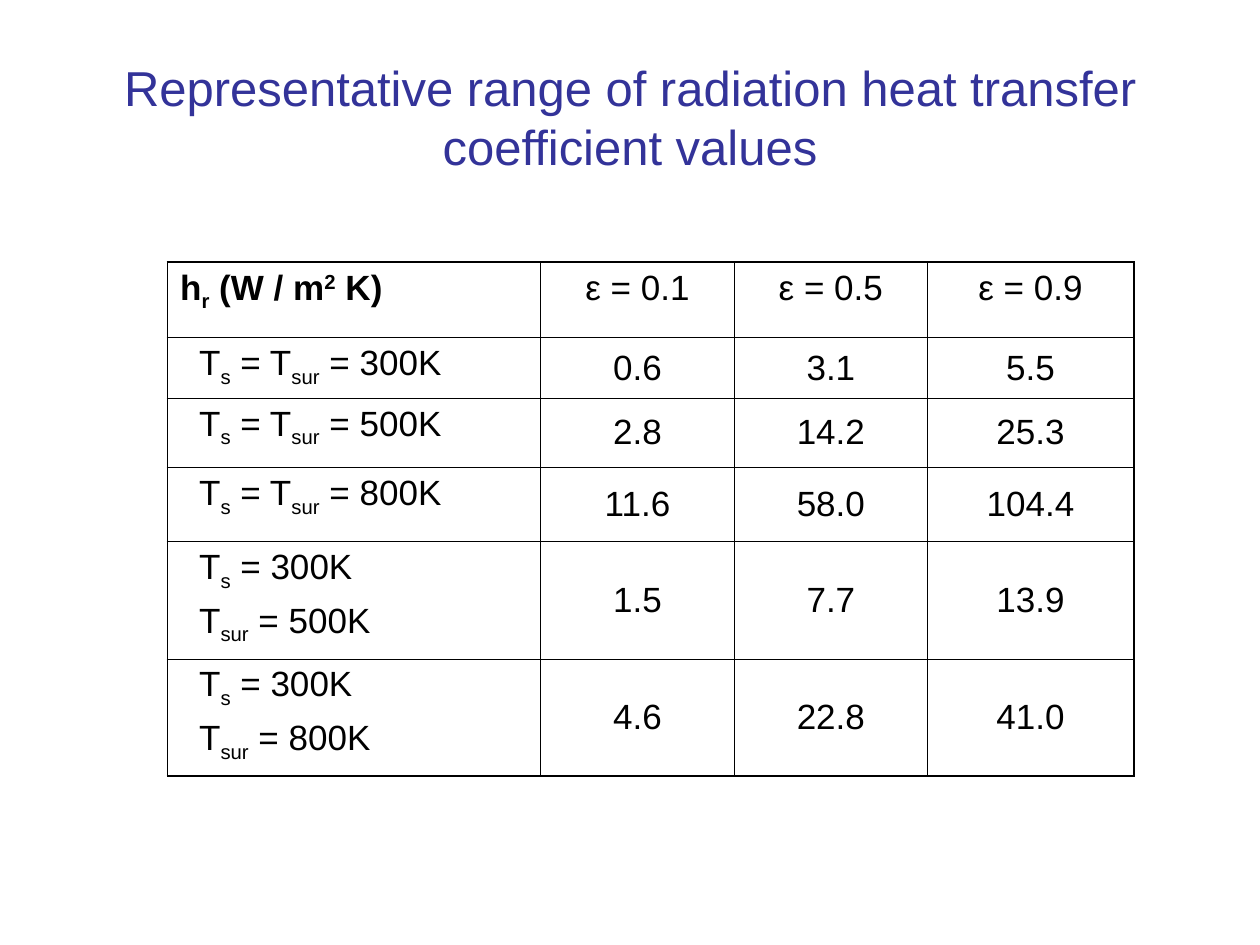
from dataclasses import dataclass

from lxml import etree
from pptx import Presentation
from pptx import util as u
from pptx.dml.color import RGBColor
from pptx.enum import text
from pptx.oxml import ns


@dataclass(frozen=True)
class Theme:
    font: str = "Arial"
    title_color: str = "333399"
    ink: str = "000000"
    title_size: float = 28
    table_size: float = 20
    space_before: float = 5
    outer_line: float = 1.08
    inner_line: float = 0.45


THEME = Theme()
BASELINES = {"_": "-25000", "^": "30000"}
TITLE = "Representative range of radiation heat transfer coefficient values"
COLUMN_WIDTHS = (2.96, 1.54, 1.53, 1.64)
ROW_HEIGHTS = (0.6, 0.48, 0.55, 0.59, 0.93, 0.93)
ROWS = (
    ("h|_r| (W / m|^2| K)", "ε = 0.1", "ε = 0.5", "ε = 0.9"),
    ("T|_s| = T|_sur| = 300K", "0.6", "3.1", "5.5"),
    ("T|_s| = T|_sur| = 500K", "2.8", "14.2", "25.3"),
    ("T|_s| = T|_sur| = 800K", "11.6", "58.0", "104.4"),
    ("T|_s| = 300K\nT|_sur| = 500K", "1.5", "7.7", "13.9"),
    ("T|_s| = 300K\nT|_sur| = 800K", "4.6", "22.8", "41.0"),
)


def write_text(frame, content, size=THEME.table_size, color=THEME.ink,
               bold=False, centered=False, space_before=0):
    for index, line in enumerate(content.split("\n")):
        paragraph = frame.add_paragraph() if index else frame.paragraphs[0]
        paragraph.alignment = text.PP_ALIGN.CENTER if centered else text.PP_ALIGN.LEFT
        paragraph.space_before = u.Pt(space_before)
        for segment in line.split("|"):
            baseline = BASELINES.get(segment[0])
            run = paragraph.add_run()
            run.text = segment[1:] if baseline else segment
            run.font.name = THEME.font
            run.font.size = u.Pt(size)
            run.font.bold = bold
            run.font.color.rgb = RGBColor.from_string(color)
            if baseline:
                run._r.get_or_add_rPr().set("baseline", baseline)


def set_borders(cell, outer_sides):
    properties = cell._tc.get_or_add_tcPr()
    for side in "LRTB":
        width = THEME.outer_line if side in outer_sides else THEME.inner_line
        line = etree.SubElement(properties, ns.qn(f"a:ln{side}"), w=str(u.Pt(width)))
        fill = etree.SubElement(line, ns.qn("a:solidFill"))
        etree.SubElement(fill, ns.qn("a:srgbClr"), val=THEME.ink)


def add_title(slide):
    box = slide.shapes.add_textbox(u.Inches(0.5), u.Inches(0.3), u.Inches(9), u.Inches(1.25))
    frame = box.text_frame
    frame.word_wrap = True
    frame.vertical_anchor = text.MSO_ANCHOR.MIDDLE
    write_text(frame, TITLE, size=THEME.title_size, color=THEME.title_color, centered=True)


def fill_cell(cell, content, row, column):
    is_header, is_label = row == 0, column == 0
    edges = {"L": is_label, "R": column == len(COLUMN_WIDTHS) - 1,
             "T": is_header, "B": row == len(ROWS) - 1}
    set_borders(cell, [side for side, is_outer in edges.items() if is_outer])
    cell.fill.background()
    cell.margin_left = u.Inches(0.25 if is_label and not is_header else 0.1)
    cell.margin_right = u.Inches(0.1)
    cell.margin_top = cell.margin_bottom = u.Inches(0.05)
    cell.vertical_anchor = (text.MSO_ANCHOR.TOP if is_header or is_label
                            else text.MSO_ANCHOR.MIDDLE)
    write_text(cell.text_frame, content, bold=is_header and is_label,
               centered=not is_label, space_before=THEME.space_before)


def add_coefficient_table(slide):
    table = slide.shapes.add_table(
        len(ROWS), len(COLUMN_WIDTHS), u.Inches(1.33), u.Inches(2.08),
        u.Inches(sum(COLUMN_WIDTHS)), u.Inches(sum(ROW_HEIGHTS))).table
    table.first_row = table.horz_banding = False
    for column, width in zip(table.columns, COLUMN_WIDTHS):
        column.width = u.Inches(width)
    for row, height in zip(table.rows, ROW_HEIGHTS):
        row.height = u.Inches(height)
    for row, values in enumerate(ROWS):
        for column, content in enumerate(values):
            fill_cell(table.cell(row, column), content, row, column)


def main():
    presentation = Presentation()
    presentation.slide_width = u.Inches(10)
    presentation.slide_height = u.Inches(7.5)
    slide = presentation.slides.add_slide(presentation.slide_layouts[6])
    add_title(slide)
    add_coefficient_table(slide)
    presentation.save("out.pptx")


if __name__ == "__main__":
    main()
